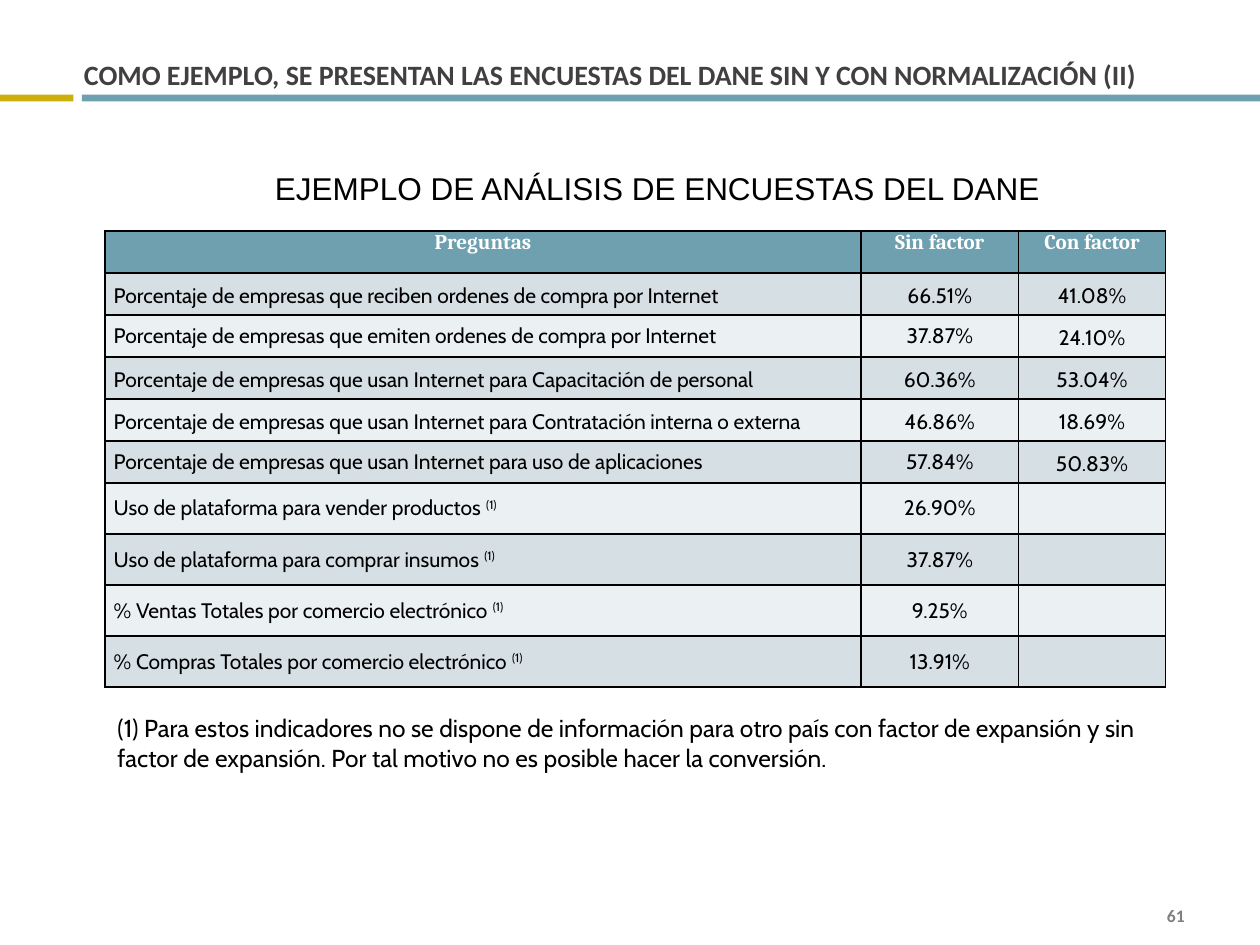
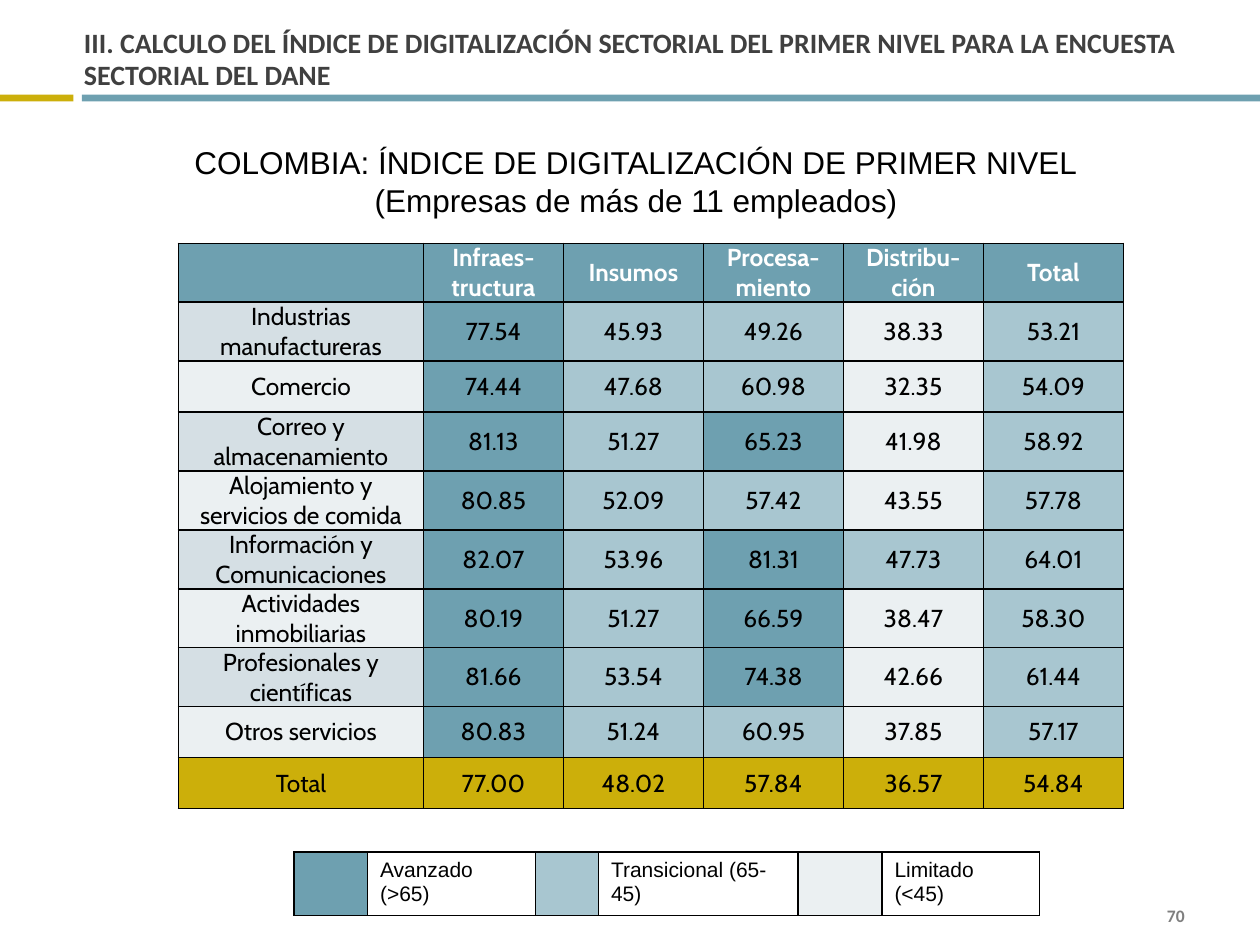
import dataclasses

import lxml.etree
import pptx
import pptx.dml.color
import pptx.enum.shapes
import pptx.enum.text
import pptx.oxml.ns
import pptx.util

Pt = pptx.util.Pt
Align = pptx.enum.text.PP_ALIGN
Anchor = pptx.enum.text.MSO_ANCHOR
qn = pptx.oxml.ns.qn


@dataclasses.dataclass(frozen=True)
class Theme:
    teal: str = "6EA0B0"
    sky: str = "A8C6D0"
    mist: str = "D5DFE4"
    pale: str = "EBF0F2"
    gold: str = "CCAF0A"
    black: str = "000000"
    white: str = "FFFFFF"
    dark: str = "404040"
    grey: str = "7F7F7F"
    title: int = 16
    head: int = 18
    body: int = 14
    small: int = 12
    page: int = 10
    sans: str = "Arial"
    text: str = "Cabin"
    label: str = "Calibri"
    serif: str = "Cambria"


THEME = Theme()

SURVEY = [
    ("Porcentaje de empresas que reciben ordenes de compra por Internet", "66.51%", "41.08%"),
    ("Porcentaje de empresas que emiten ordenes de compra por Internet", "37.87%", "24.10%"),
    ("Porcentaje de empresas que usan Internet para Capacitación de personal", "60.36%", "53.04%"),
    ("Porcentaje de empresas que usan Internet para Contratación interna o externa", "46.86%", "18.69%"),
    ("Porcentaje de empresas que usan Internet para uso de aplicaciones", "57.84%", "50.83%"),
    ("Uso de plataforma para vender productos ", "26.90%", ""),
    ("Uso de plataforma para comprar insumos ", "37.87%", ""),
    ("% Ventas Totales por comercio electrónico ", "9.25%", ""),
    ("% Compras Totales por comercio electrónico ", "13.91%", ""),
]
LOOSE = (1, 3, 4)

STAGES = ["", "Infraes-\ntructura", "Insumos", "Procesa-\nmiento", "Distribu-\nción", "Total"]
SECTORS = [
    ("Industrias manufactureras", 77.54, 45.93, 49.26, 38.33, 53.21),
    ("Comercio", 74.44, 47.68, 60.98, 32.35, 54.09),
    ("Correo y almacenamiento", 81.13, 51.27, 65.23, 41.98, 58.92),
    ("Alojamiento y servicios de comida", 80.85, 52.09, 57.42, 43.55, 57.78),
    ("Información y Comunicaciones", 82.07, 53.96, 81.31, 47.73, 64.01),
    ("Actividades inmobiliarias", 80.19, 51.27, 66.59, 38.47, 58.30),
    ("Profesionales y científicas", 81.66, 53.54, 74.38, 42.66, 61.44),
    ("Otros servicios", 80.83, 51.24, 60.95, 37.85, 57.17),
    ("Total", 77.00, 48.02, 57.84, 36.57, 54.84),
]
LEVELS = [
    (THEME.teal, "Avanzado (>65)"),
    (THEME.sky, "Transicional (65-45)"),
    (THEME.pale, "Limitado (<45)"),
]


def rgb(code):
    return pptx.dml.color.RGBColor.from_string(code)


def style(frame, face, size, color, bold=False, align=Align.LEFT, space=None):
    for para in frame.paragraphs:
        para.alignment = align
        if space:
            para.line_spacing = space
        for run in para.runs:
            run.font.name = face
            run.font.size = Pt(size)
            run.font.bold = bold
            run.font.color.rgb = rgb(color)


def add_text(slide, box, text, face, size, color=THEME.black, wrap=True, anchor=Anchor.TOP, **look):
    frame = slide.shapes.add_textbox(*map(Pt, box)).text_frame
    frame.word_wrap = wrap
    frame.vertical_anchor = anchor
    frame.text = text
    style(frame, face, size, color, **look)


def add_band(slide, left, width, color):
    band = slide.shapes.add_shape(
        pptx.enum.shapes.MSO_SHAPE.RECTANGLE, Pt(left), Pt(54), Pt(width), Pt(4))
    band.shadow.inherit = False
    band.fill.solid()
    band.fill.fore_color.rgb = rgb(color)
    band.line.fill.background()


def add_slide(deck, title, page):
    slide = deck.slides.add_slide(deck.slide_layouts[5])
    add_text(slide, (516, 516, 168, 14.4), page, THEME.label, THEME.page, THEME.grey,
             anchor=Anchor.MIDDLE, bold=True, align=Align.RIGHT)
    add_band(slide, 0, 42, THEME.gold)
    add_band(slide, 46.8, 673.2, THEME.teal)
    shape = slide.shapes.title
    shape.left, shape.top, shape.width, shape.height = map(Pt, (48, 6, 648, 48))
    frame = shape.text_frame
    frame.text = title
    frame.auto_size = pptx.enum.text.MSO_AUTO_SIZE.NONE
    frame.word_wrap = True
    frame.vertical_anchor = Anchor.BOTTOM
    frame.margin_left = frame.margin_right = 0
    frame.margin_top, frame.margin_bottom = Pt(3.6), Pt(2)
    style(frame, THEME.label, THEME.title, THEME.dark, bold=True, space=Pt(18))
    return slide


def add_grid(slide, left, top, cols, rows):
    box = map(Pt, (left, top, sum(cols), sum(rows)))
    table = slide.shapes.add_table(len(rows), len(cols), *box).table
    table.first_row = table.horz_banding = False
    for col, width in zip(table.columns, cols):
        col.width = Pt(width)
    for row, height in zip(table.rows, rows):
        row.height = Pt(height)
    for cell in table.iter_cells():
        add_edges(cell)
    return table


def add_edges(cell):
    props = cell._tc.get_or_add_tcPr()
    for side in ("a:lnL", "a:lnR", "a:lnT", "a:lnB"):
        line = lxml.etree.SubElement(props, qn(side), w=str(Pt(1)))
        fill = lxml.etree.SubElement(line, qn("a:solidFill"))
        lxml.etree.SubElement(fill, qn("a:srgbClr"), val=THEME.black)


def paint(cell, color):
    cell.fill.solid()
    cell.fill.fore_color.rgb = rgb(color)


def write(cell, text, face, size, color=THEME.black, anchor=Anchor.MIDDLE, mark="", **look):
    if not text:
        return
    cell.margin_left = cell.margin_right = Pt(5)
    cell.margin_top = cell.margin_bottom = 0
    cell.vertical_anchor = anchor
    frame = cell.text_frame
    frame.text = text
    if mark:
        run = frame.paragraphs[0].add_run()
        run.text = mark
        run._r.get_or_add_rPr().set("baseline", "30000")
    style(frame, face, size, color, **look)


def stripe(row):
    return THEME.mist if row % 2 else THEME.pale


def level(value):
    if value > 65:
        return THEME.teal
    return THEME.sky if value >= 45 else THEME.pale


def add_survey(slide):
    table = add_grid(slide, 60, 132, (432, 90, 84), [24] * 6 + [29.2] * 4)
    for col, text in enumerate(("Preguntas", "Sin factor", "Con factor")):
        cell = table.cell(0, col)
        paint(cell, THEME.teal)
        write(cell, text, THEME.serif, THEME.small, THEME.white,
              anchor=Anchor.TOP, bold=True, align=Align.CENTER)
    for row, values in enumerate(SURVEY, 1):
        for col, text in enumerate(values):
            cell = table.cell(row, col)
            paint(cell, stripe(row))
            write(cell, text, THEME.text, THEME.small,
                  mark="(1)" if col == 0 and not values[2] else "",
                  align=Align.CENTER if col else Align.LEFT,
                  space=1.15 if row in LOOSE or col == 2 else None)


def add_index(slide):
    table = add_grid(slide, 102, 139, [140] + [80] * 5, [29.2] * 10)
    for col, text in enumerate(STAGES):
        cell = table.cell(0, col)
        paint(cell, THEME.teal)
        write(cell, text, THEME.text, THEME.body, THEME.white, bold=True, align=Align.CENTER)
    for row, (name, *values) in enumerate(SECTORS, 1):
        texts = [name] + [f"{value:.2f}" for value in values]
        fills = [stripe(row)] + [level(value) for value in values]
        if row == len(SECTORS):
            fills = [THEME.gold] * len(texts)
        for col, (text, fill) in enumerate(zip(texts, fills)):
            cell = table.cell(row, col)
            paint(cell, fill)
            write(cell, text, THEME.text, THEME.body, align=Align.CENTER)


def add_legend(slide):
    table = add_grid(slide, 168, 487, (42, 96, 36, 114, 48, 90), [23])
    for num, (color, text) in enumerate(LEVELS):
        paint(table.cell(0, 2 * num), color)
        cell = table.cell(0, 2 * num + 1)
        cell.fill.background()
        cell.text_frame.text = text
        style(cell.text_frame, THEME.sans, THEME.small, THEME.black)


def main():
    deck = pptx.Presentation()
    deck.slide_width, deck.slide_height = Pt(720), Pt(540)

    slide = add_slide(
        deck, "COMO EJEMPLO, SE PRESENTAN LAS ENCUESTAS DEL DANE SIN Y CON NORMALIZACIÓN (II)", "61")
    add_survey(slide)
    add_text(slide, (60, 404, 606, 41),
             "(1) Para estos indicadores no se dispone de información para otro país con factor de "
             "expansión y sin factor de expansión. Por tal motivo no es posible hacer la conversión.",
             THEME.text, THEME.body)
    add_text(slide, (150, 93, 456, 29), "EJEMPLO DE ANÁLISIS DE ENCUESTAS DEL DANE",
             THEME.sans, THEME.head, wrap=False)

    slide = add_slide(
        deck, "III. CALCULO DEL ÍNDICE DE DIGITALIZACIÓN SECTORIAL DEL PRIMER NIVEL "
        "PARA LA ENCUESTA SECTORIAL DEL DANE", "70")
    add_index(slide)
    add_legend(slide)
    add_text(slide, (102, 78, 523, 51),
             "COLOMBIA: ÍNDICE DE DIGITALIZACIÓN DE PRIMER NIVEL\n(Empresas de más de 11 empleados)",
             THEME.sans, THEME.head, wrap=False, align=Align.CENTER)

    deck.save("out.pptx")


if __name__ == "__main__":
    main()
